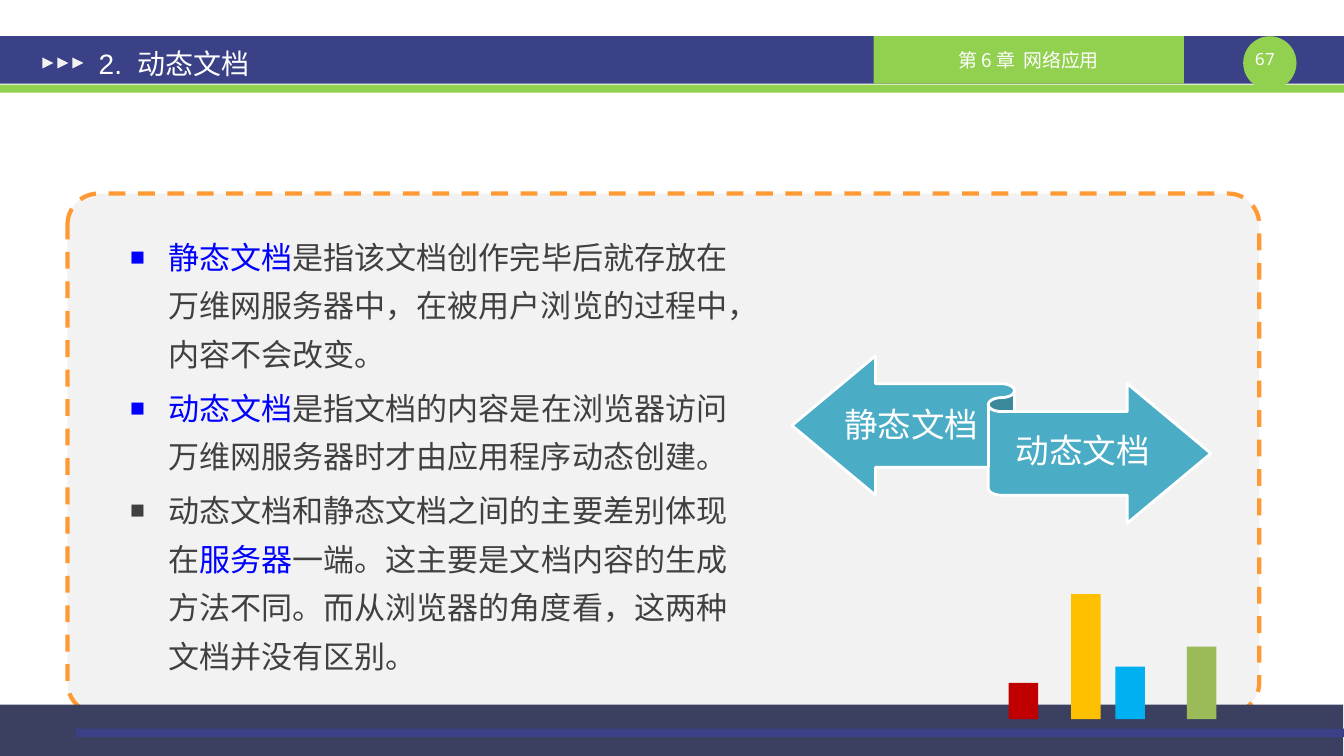
"""Build the slide comparing static and dynamic documents."""
from lxml import etree
from pptx import Presentation
from pptx.dml.color import RGBColor
from pptx.enum.dml import MSO_LINE
from pptx.enum.shapes import MSO_SHAPE as Shape
from pptx.enum.text import MSO_ANCHOR as Anchor, MSO_AUTO_SIZE as AutoSize, PP_ALIGN as Align
from pptx.oxml.ns import qn
from pptx.util import Inches, Pt

WHITE = RGBColor(0xFF, 0xFF, 0xFF)
NAVY = RGBColor(0x3A, 0x41, 0x87)
SLATE = RGBColor(0x3B, 0x3F, 0x60)
GREEN = RGBColor(0x92, 0xD0, 0x50)
PALE = RGBColor(0xF2, 0xF2, 0xF2)
ORANGE = RGBColor(0xFF, 0x99, 0x33)
TEAL = RGBColor(0x4B, 0xAC, 0xC6)
BLUE = RGBColor(0x00, 0x00, 0xFF)
GREY = RGBColor(0x40, 0x40, 0x40)
OLIVE = RGBColor(0x9B, 0xBB, 0x59)
SKY = RGBColor(0x00, 0xB0, 0xF0)
AMBER = RGBColor(0xFF, 0xC0, 0x00)
RED = RGBColor(0xC0, 0x00, 0x00)

TITLE = "2.  动态文档"
CHAPTER = "第 6 章  网络应用"
PAGE_NUMBER = "67 "
POINTS = [
    [("静态文档", BLUE),
     ("是指该文档创作完毕后就存放在万维网服务器中，在被用户浏览的过程中，内容不会改变。", GREY)],
    [("动态文档", BLUE),
     ("是指文档的内容是在浏览器访问万维网服务器时才由应用程序动态创建。", GREY)],
    [("动态文档和静态文档之间的主要差别体现在", GREY), ("服务器", BLUE),
     ("一端。这主要是文档内容的生成方法不同。而从浏览器的角度看，这两种文档并没有区别。", GREY)],
]

# Places are left, top, width, height in percent of the slide.
HEADER_TOP, HEADER_HEIGHT = 4.8, 6.27
ARROW_COUNT, ARROW_LEFT, ARROW_STEP = 3, 3.15, 1.12
BARS = [(88.31, 9.6, OLIVE), (82.98, 6.93, SKY), (79.69, 16.53, AMBER), (75.04, 4.8, RED)]
BAR_BASE, BAR_WIDTH = 95.13, 2.2
RIBBON_LABELS = [("静态文档", (62.67, 51.07, 10.27, 10.93)),
                 ("动态文档", (74.51, 54.53, 12.14, 10.93))]

presentation = Presentation()
presentation.slide_width, presentation.slide_height = Inches(13.34), Inches(7.5)
slide = presentation.slides.add_slide(presentation.slide_layouts[1])


def place(percents):
    """Turn percent shares into slide lengths."""
    sides = (presentation.slide_width, presentation.slide_height) * 2
    return [round(share * side / 100) for share, side in zip(percents, sides)]


def draw(kind, percents, fill, shapes=slide.shapes):
    """Add a flat preset shape without outline."""
    shape = shapes.add_shape(kind, *place(percents))
    shape.shadow.inherit = False
    shape.fill.solid()
    shape.fill.fore_color.rgb = fill
    shape.line.fill.background()
    return shape


def outline(shape, color, width):
    """Give a shape a coloured outline."""
    shape.line.color.rgb = color
    shape.line.width = Pt(width)


def add_run(paragraph, text, size, color=WHITE, font="Arial"):
    """Append formatted text to a paragraph."""
    run = paragraph.add_run()
    run.text = text
    run.font.size, run.font.name, run.font.color.rgb = Pt(size), font, color


def set_frame(shape, margins, anchor=Anchor.MIDDLE):
    """Set the margins and anchor of a text frame and return it."""
    frame = shape.text_frame
    frame.word_wrap, frame.auto_size, frame.vertical_anchor = True, AutoSize.NONE, anchor
    frame.margin_left, frame.margin_top, frame.margin_right, frame.margin_bottom = map(Inches, margins)
    return frame


def write(shape, text, size, font="Arial", align=Align.CENTER, spacing=1.0,
          margins=(0, 0, 0, 0), anchor=Anchor.MIDDLE):
    """Write a single paragraph into a shape."""
    paragraph = set_frame(shape, margins, anchor).paragraphs[0]
    paragraph.alignment, paragraph.line_spacing = align, spacing
    add_run(paragraph, text, size, font=font)


def add_bullet(paragraph):
    """Give a paragraph a hanging square bullet."""
    properties = paragraph._p.get_or_add_pPr()
    properties.set("marL", str(Inches(0.38)))
    properties.set("indent", str(Inches(-0.38)))
    for tag, name, value in (("a:buSzPct", "val", "80000"),
                             ("a:buFont", "typeface", "Arial"), ("a:buChar", "char", "■")):
        etree.SubElement(properties, qn(tag)).set(name, value)


def move(placeholder, percents):
    """Place a placeholder in front of what is drawn so far."""
    placeholder.left, placeholder.top, placeholder.width, placeholder.height = place(percents)
    slide.shapes._spTree.append(placeholder._element)


draw(Shape.RECTANGLE, (0, HEADER_TOP, 100, HEADER_HEIGHT), NAVY)
draw(Shape.RECTANGLE, (0, 11.2, 100, 1.07), GREEN)
draw(Shape.OVAL, (92.5, HEADER_TOP, 3.97, 7.07), GREEN)
page_box = slide.shapes.add_textbox(*place((92.5, 6.4, 3.97, 2.67)))
write(page_box, PAGE_NUMBER, 12, font="Noto Sans Mono", anchor=Anchor.TOP)
chapter_tab = draw(Shape.RECTANGLE, (65, HEADER_TOP, 23.09, HEADER_HEIGHT), GREEN)
write(chapter_tab, CHAPTER, 13.5, font="Noto Sans CJK SC")
for index in range(ARROW_COUNT):
    arrow = draw(Shape.ISOSCELES_TRIANGLE, (ARROW_LEFT + index * ARROW_STEP, 7.6, 0.82, 1.47), PALE)
    arrow.rotation = 90

panel = draw(Shape.ROUNDED_RECTANGLE, (5.02, 25.6, 88.68, 68.8), PALE)
panel.adjustments[0] = 0.06
outline(panel, ORANGE, 3)
panel.line.dash_style = MSO_LINE.DASH
draw(Shape.RECTANGLE, (-0.37, 93.2, 100.3, 7.2), SLATE)

bar_group = slide.shapes.add_group_shape().shapes
for left, height, color in BARS:
    draw(Shape.RECTANGLE, (left, BAR_BASE - height, BAR_WIDTH, height), color, bar_group)

title, body = slide.shapes.title, slide.placeholders[1]
move(title, (6.37, 5.2, 43.7, HEADER_HEIGHT))
write(title, TITLE, 20, align=Align.LEFT, margins=(0.13, 0.07, 0.13, 0.07))
move(body, (8.7, 29.07, 46.63, 60.93))
body_frame = set_frame(body, (0.13, 0.07, 0.13, 0.07), Anchor.TOP)
for index, point in enumerate(POINTS):
    paragraph = body_frame.add_paragraph() if index else body_frame.paragraphs[0]
    add_bullet(paragraph)
    paragraph.line_spacing, paragraph.space_before = 1.3, Pt(4 if index else 0)
    for text, color in point:
        add_run(paragraph, text, 22.2, color)

draw(Shape.RECTANGLE, (5.62, 96.4, 94.38, 1.07), NAVY)
ribbon_group = slide.shapes.add_group_shape().shapes
ribbon = draw(Shape.LEFT_RIGHT_RIBBON, (58.92, 47.07, 31.18, 22.13), TEAL, ribbon_group)
outline(ribbon, WHITE, 2)
for label, percents in RIBBON_LABELS:
    write(ribbon_group.add_textbox(*place(percents)), label, 24,
          spacing=0.9, margins=(0, 0.09, 0, 0.1))

presentation.save("out.pptx")
